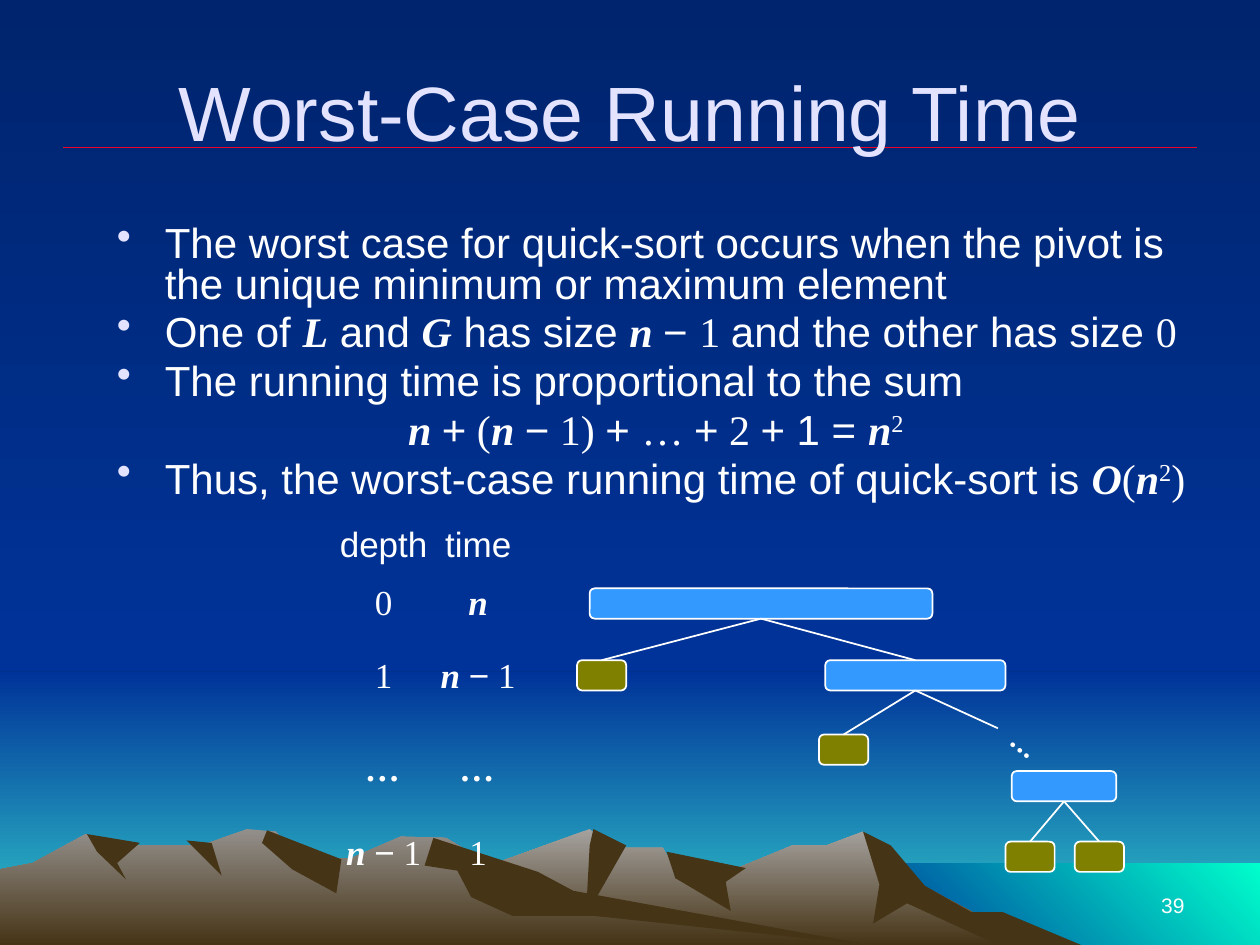
from lxml.etree import SubElement
from pptx import Presentation
from pptx.dml.color import RGBColor
from pptx.enum.shapes import MSO_CONNECTOR as Connector, MSO_SHAPE as Shape
from pptx.enum.text import MSO_ANCHOR as Anchor, MSO_AUTO_SIZE as AutoSize, PP_ALIGN as Align
from pptx.oxml import parse_xml
from pptx.oxml.ns import nsdecls, qn
from pptx.util import Inches, Pt

WHITE, LAVENDER, RED = "FFFFFF", "E3E3FF", "EF0129"
BLUE, OLIVE, EARTH = "3399FF", "808000", "463416"
SKY = ("00246D", "003399")
HORIZON = ("003399", "33CCCC")
SEA = ("003399", "00FFCC")
SLIDE_WIDTH, SLIDE_HEIGHT, SKYLINE = 10, 7.5, 5.33

SANS = {}
SERIF = {"font": "Times New Roman"}
VAR = {**SERIF, "bold": True, "italic": True}
SUP = {**SERIF, "raised": True}

N_MINUS_1 = [("n ", VAR), ("−", SANS), (" 1", SERIF)]
BULLETS = [
    [("The worst case for quick-sort occurs when the pivot is "
      "the unique minimum or maximum element", SANS)],
    [("One of ", SANS), ("L", VAR), (" and ", SANS), ("G", VAR), (" has size ", SANS),
     ("n ", VAR), ("− ", SANS), ("1 ", SERIF), ("and the other has size ", SANS), ("0", SERIF)],
    [("The running time is proportional to the sum", SANS)],
    [("n ", VAR), ("+", SANS), (" (", SERIF), ("n ", VAR), ("−", SANS), (" 1) ", SERIF),
     ("+ ", SANS), ("… ", SERIF), ("+", SANS), (" 2 ", SERIF), ("+ 1 = ", SANS),
     ("n", VAR), ("2", SUP)],
    [("Thus, the worst-case running time of quick-sort is ", SANS), ("O", VAR), ("(", SERIF),
     ("n", VAR), ("2", SUP), (")", SERIF)],
]
FORMULA = 3
COSTS = [
    ([("depth", SANS)], [("time", SANS)]),
    ([("0", SERIF)], [("n", VAR)]),
    ([("1", SERIF)], N_MINUS_1),
    ([("…", VAR)], [("…", VAR)]),
    (N_MINUS_1, [("1", SERIF)]),
]
ROW_HEIGHTS = (0.34, 0.56, 0.6, 0.87, 0.47)
NODE_HEIGHT = 0.24

# Mountain outlines in hundredths of an inch, from back to front.
MOUNTAINS = [
    (("A5A29F", EARTH), [
        (821, 750), (723, 698), (685, 660), (656, 671), (629, 671), (566, 697), (536, 690),
        (526, 673), (486, 673), (468, 658), (394, 685), (327, 709), (258, 750)]),
    (EARTH, [(685, 660), (698, 702), (693, 733), (720, 717), (792, 750), (858, 750),
             (796, 724), (771, 724), (734, 703), (707, 671)]),
    (EARTH, [(471, 658), (468, 671), (465, 727), (497, 671)]),
    (EARTH, [(529, 676), (536, 697), (580, 723), (576, 700), (592, 689)]),
    (("938F8B", EARTH), [
        (690, 750), (432, 712), (354, 665), (318, 664), (279, 681), (236, 681), (219, 660),
        (196, 658), (160, 671), (94, 671), (68, 662), (26, 685), (0, 690), (0, 750)]),
    (EARTH, [(212, 659), (208, 669), (232, 690), (267, 709), (271, 682)]),
    (EARTH, [(344, 665), (337, 687), (363, 691), (374, 712), (407, 727), (472, 727),
             (690, 750), (455, 707), (427, 692)]),
    (EARTH, [(148, 667), (168, 669), (176, 695)]),
    (EARTH, [(69, 662), (111, 669), (93, 685), (100, 698), (77, 676)]),
]


def rgb(color):
    return RGBColor.from_string(color)


def paint(fill, color, angle=270):
    """Fill with one colour, or with a gradient when given a pair."""
    if isinstance(color, str):
        fill.solid()
        fill.fore_color.rgb = rgb(color)
        return
    fill.gradient()
    fill.gradient_angle = angle
    for position, (stop, stop_color) in enumerate(zip(fill.gradient_stops, color)):
        stop.position = position
        stop.color.rgb = rgb(stop_color)


def add_run(paragraph, text, *, size, color=WHITE, font="Arial",
            bold=False, italic=False, raised=False):
    run = paragraph.add_run()
    run.text = text
    run.font.size, run.font.name = Pt(size), font
    run.font.bold, run.font.italic = bold, italic
    run.font.color.rgb = rgb(color)
    if raised:
        run.font._element.set("baseline", "30000")


def add_label(slide, box, text, *, align=Align.CENTER, anchor=Anchor.TOP, wrap=True, **style):
    label = slide.shapes.add_textbox(*map(Inches, box))
    frame = label.text_frame
    frame.word_wrap, frame.vertical_anchor = wrap, anchor
    frame.paragraphs[0].alignment = align
    add_run(frame.paragraphs[0], text, **style)
    return label


def add_bullets(slide):
    frame = slide.shapes.add_textbox(*map(Inches, (0.83, 1.75, 8.75, 2.5))).text_frame
    frame.word_wrap = True
    for index, runs in enumerate(BULLETS):
        paragraph = frame.add_paragraph() if index else frame.paragraphs[0]
        paragraph.line_spacing, paragraph.space_before = 0.8, Pt(4.8)
        props = paragraph._p.get_or_add_pPr()
        props.set("marL", str(Inches(0.38)))
        props.set("indent", str(Inches(-0.38)))
        if index == FORMULA:
            paragraph.alignment = Align.CENTER
            SubElement(props, qn("a:buNone"))
        else:
            bullet_color = SubElement(props, qn("a:buClr"))
            SubElement(bullet_color, qn("a:srgbClr"), val=LAVENDER)
            SubElement(props, qn("a:buChar"), char="•")
        for text, style in runs:
            add_run(paragraph, text, size=24, **style)


def add_cost_table(slide):
    table = slide.shapes.add_table(
        len(COSTS), 2, *map(Inches, (2.67, 4.17, 1.5, sum(ROW_HEIGHTS)))).table
    table.first_row = table.horz_banding = False
    for r, (row, height) in enumerate(zip(COSTS, ROW_HEIGHTS)):
        table.rows[r].height = Inches(height)
        for c, runs in enumerate(row):
            cell = table.cell(r, c)
            cell.margin_left = cell.margin_right = cell.margin_top = cell.margin_bottom = 0
            cell.vertical_anchor = Anchor.MIDDLE if r else Anchor.TOP
            cell.fill.background()
            for i, side in enumerate("LRTB"):
                cell._tc.tcPr.insert(i, parse_xml(
                    f'<a:ln{side} {nsdecls("a")}><a:noFill/></a:ln{side}>'))
            paragraph = cell.text_frame.paragraphs[0]
            paragraph.alignment, paragraph.space_before = Align.CENTER, Pt(4)
            for text, style in runs:
                add_run(paragraph, text, size=20, **style)


def add_line(slide, start, end, color=WHITE, width=1):
    line = slide.shapes.add_connector(Connector.STRAIGHT, *map(Inches, (*start, *end)))
    line.line.color.rgb, line.line.width = rgb(color), Pt(width)
    SubElement(line._element.spPr, qn("a:effectLst"))


def add_node(slide, left, top, width, color, parent=None):
    """Draw a tree node, joined to its parent's foot, and return its own foot."""
    node = slide.shapes.add_shape(
        Shape.ROUNDED_RECTANGLE, *map(Inches, (left, top, width, NODE_HEIGHT)))
    node.shadow.inherit = False
    paint(node.fill, color)
    node.line.color.rgb, node.line.width = rgb(WHITE), Pt(1)
    center = left + width / 2
    if parent:
        add_line(slide, parent, (center, top))
    return center, top + NODE_HEIGHT


def add_tree(slide):
    leaf_width = 0.39
    root = add_node(slide, 4.68, 4.67, 2.72, BLUE)
    add_node(slide, 4.58, 5.24, leaf_width, OLIVE, root)
    second = add_node(slide, 6.55, 5.24, 1.43, BLUE, root)
    add_node(slide, 6.5, 5.83, leaf_width, OLIVE, second)
    add_line(slide, second, (7.92, 5.78))
    last = add_node(slide, 8.03, 6.12, 0.83, BLUE)
    for left in (7.98, 8.53):
        add_node(slide, left, 6.68, leaf_width, OLIVE, last)
    dots = add_label(slide, (7.93, 5.62, 0.47, 0.5), "…", wrap=False, size=24, font="Roboto")
    dots.text_frame.auto_size = AutoSize.SHAPE_TO_FIT_TEXT
    dots.rotation = 38.4


def add_band(slide, left, top, bottom, colors, angle=270):
    """Draw a gradient band that reaches the right edge of the slide."""
    band = slide.shapes.add_shape(
        Shape.RECTANGLE, *map(Inches, (left, top, SLIDE_WIDTH - left, bottom - top)))
    band.shadow.inherit = False
    band.line.fill.background()
    paint(band.fill, colors, angle)


def add_scenery(slide):
    paint(slide.background.fill, SKY)
    add_band(slide, 0, SKYLINE, SLIDE_HEIGHT, HORIZON)
    add_band(slide, 0, 0, SKYLINE, SKY)
    add_band(slide, 6.83, 6.85, SLIDE_HEIGHT, SEA, angle=45)
    for color, (start, *rest) in MOUNTAINS:
        outline = slide.shapes.build_freeform(*start, scale=Inches(0.01))
        outline.add_line_segments(rest, close=True)
        mountain = outline.convert_to_shape()
        mountain.shadow.inherit = False
        mountain.line.fill.background()
        paint(mountain.fill, color)


def main():
    deck = Presentation()
    deck.slide_width, deck.slide_height = Inches(SLIDE_WIDTH), Inches(SLIDE_HEIGHT)
    slide = deck.slides.add_slide(deck.slide_layouts[6])
    add_scenery(slide)
    add_line(slide, (0.5, 1.17), (9.5, 1.17), RED, 0.75)
    add_label(slide, (7.17, 6.83, 2.33, 0.5), "39",
              align=Align.RIGHT, anchor=Anchor.BOTTOM, size=12)
    add_label(slide, (0.5, 0.25, 9, 1.25), "Worst-Case Running Time",
              anchor=Anchor.MIDDLE, size=44, color=LAVENDER)
    add_bullets(slide)
    add_tree(slide)
    add_cost_table(slide)
    deck.save("out.pptx")


if __name__ == "__main__":
    main()
